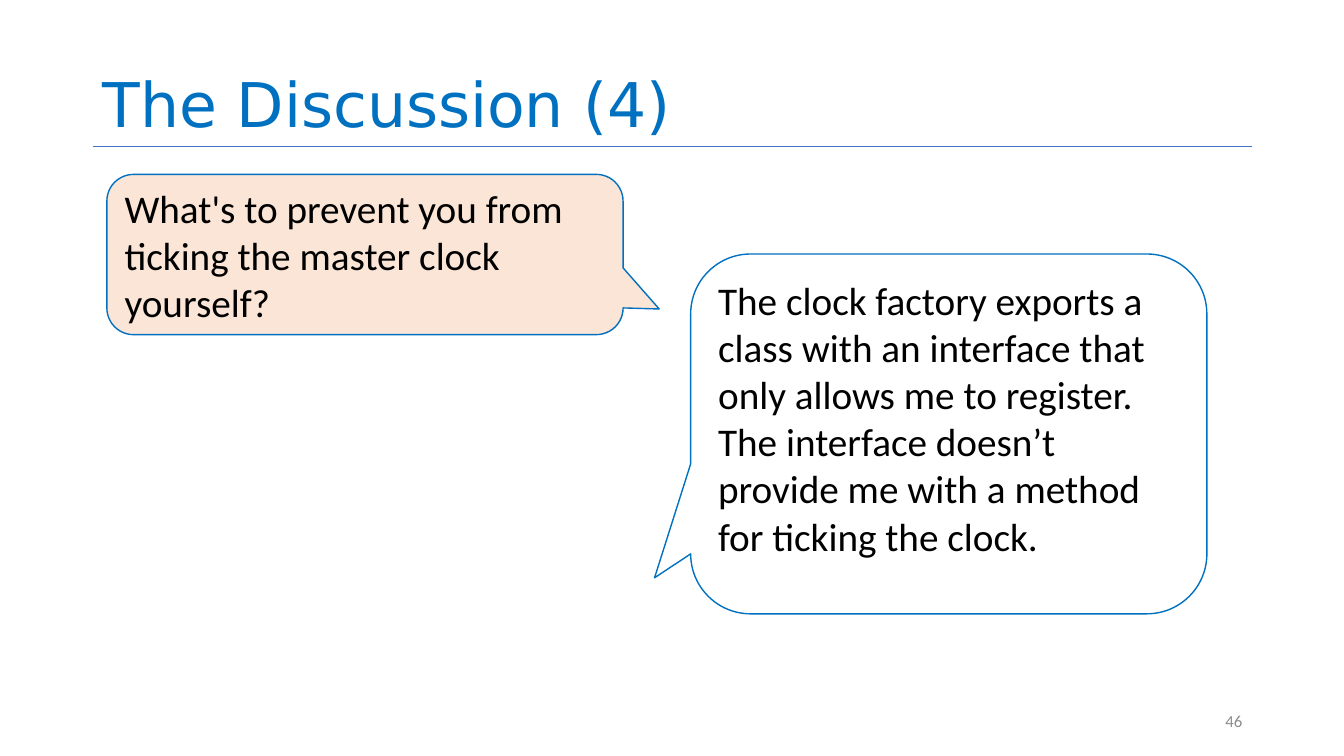
from dataclasses import dataclass

from lxml import etree
from pptx import Presentation
from pptx import util as u
from pptx.dml.color import RGBColor
from pptx.enum import shapes, text
from pptx.oxml import ns
from pptx.shapes.autoshape import Shape
from pptx.slide import Slide

PX = 9144  # EMU per px, 100 px to the inch
COLOURS = {
    "accent": "0070C0",
    "rule": "4472C4",
    "question": "FBE5D6",
    "answer": "FFFFFF",
    "body": "000000",
    "number": "8C8C8C",
}


@dataclass(frozen=True)
class Box:
    left: int
    top: int
    width: int
    height: int

    def emu(self) -> list[u.Emu]:
        return [u.Emu(px * PX) for px in (self.left, self.top, self.width, self.height)]


@dataclass(frozen=True)
class TextStyle:
    size: int
    colour: str
    font: str = "Calibri"
    anchor: text.MSO_ANCHOR = text.MSO_ANCHOR.MIDDLE
    align: text.PP_ALIGN = text.PP_ALIGN.LEFT
    line_spacing: float = 1.0


@dataclass(frozen=True)
class Label:
    box: Box
    wording: str
    style: TextStyle


@dataclass(frozen=True)
class Callout:
    box: Box
    wording: str
    fill: str
    tail: tuple[float, float]
    anchor: text.MSO_ANCHOR


LABELS = [
    Label(Box(92, 0, 1150, 145), "The Discussion (4)",
          TextStyle(44, "accent", "DejaVu Sans", text.MSO_ANCHOR.BOTTOM, line_spacing=0.9)),
    Label(Box(942, 695, 300, 40), "46",
          TextStyle(12, "number", align=text.PP_ALIGN.RIGHT)),
]
CALLOUTS = [
    Callout(Box(685, 252, 512, 357),
            "The clock factory exports a class with an interface that only allows me "
            "to register. The interface doesn’t provide me with a method for ticking "
            "the clock.",
            "answer", (-0.57, 0.4), text.MSO_ANCHOR.TOP),
    Callout(Box(106, 173, 512, 159),
            "What's to prevent you from ticking the master clock\nyourself?",
            "question", (0.57, 0.34), text.MSO_ANCHOR.MIDDLE),
]


def rgb(name: str) -> RGBColor:
    return RGBColor.from_string(COLOURS[name])


def write(shape: Shape, wording: str, style: TextStyle) -> None:
    frame = shape.text_frame
    frame.word_wrap = True
    frame.vertical_anchor = style.anchor
    frame.text = wording
    for paragraph in frame.paragraphs:
        paragraph.alignment = style.align
        paragraph.line_spacing = style.line_spacing
        paragraph.font.name = style.font
        paragraph.font.size = u.Pt(style.size)
        paragraph.font.color.rgb = rgb(style.colour)


def add_label(slide: Slide, label: Label) -> None:
    write(slide.shapes.add_textbox(*label.box.emu()), label.wording, label.style)


def add_callout(slide: Slide, callout: Callout) -> None:
    shape = slide.shapes.add_shape(
        shapes.MSO_SHAPE.ROUNDED_RECTANGULAR_CALLOUT, *callout.box.emu())
    shape.adjustments[0], shape.adjustments[1] = callout.tail
    shape.shadow.inherit = False
    shape.fill.solid()
    shape.fill.fore_color.rgb = rgb(callout.fill)
    shape.line.color.rgb = rgb("accent")
    shape.line.width = u.Pt(1)
    write(shape, callout.wording, TextStyle(28, "body", anchor=callout.anchor))


def add_title_rule(slide: Slide) -> None:
    left, top, width, _ = Box(92, 145, 1150, 0).emu()
    rule = slide.shapes.add_connector(
        shapes.MSO_CONNECTOR.STRAIGHT, left, top, left + width, top)
    rule.line.color.rgb = rgb("rule")
    rule.line.width = u.Pt(0.5)
    etree.SubElement(rule.element.spPr, ns.qn("a:effectLst"))


def main() -> None:
    presentation = Presentation()
    presentation.slide_width = u.Emu(1333 * PX)
    presentation.slide_height = u.Emu(750 * PX)
    slide = presentation.slides.add_slide(presentation.slide_layouts[6])
    add_title_rule(slide)
    for label in LABELS:
        add_label(slide, label)
    for callout in CALLOUTS:
        add_callout(slide, callout)
    presentation.save("out.pptx")


if __name__ == "__main__":
    main()
